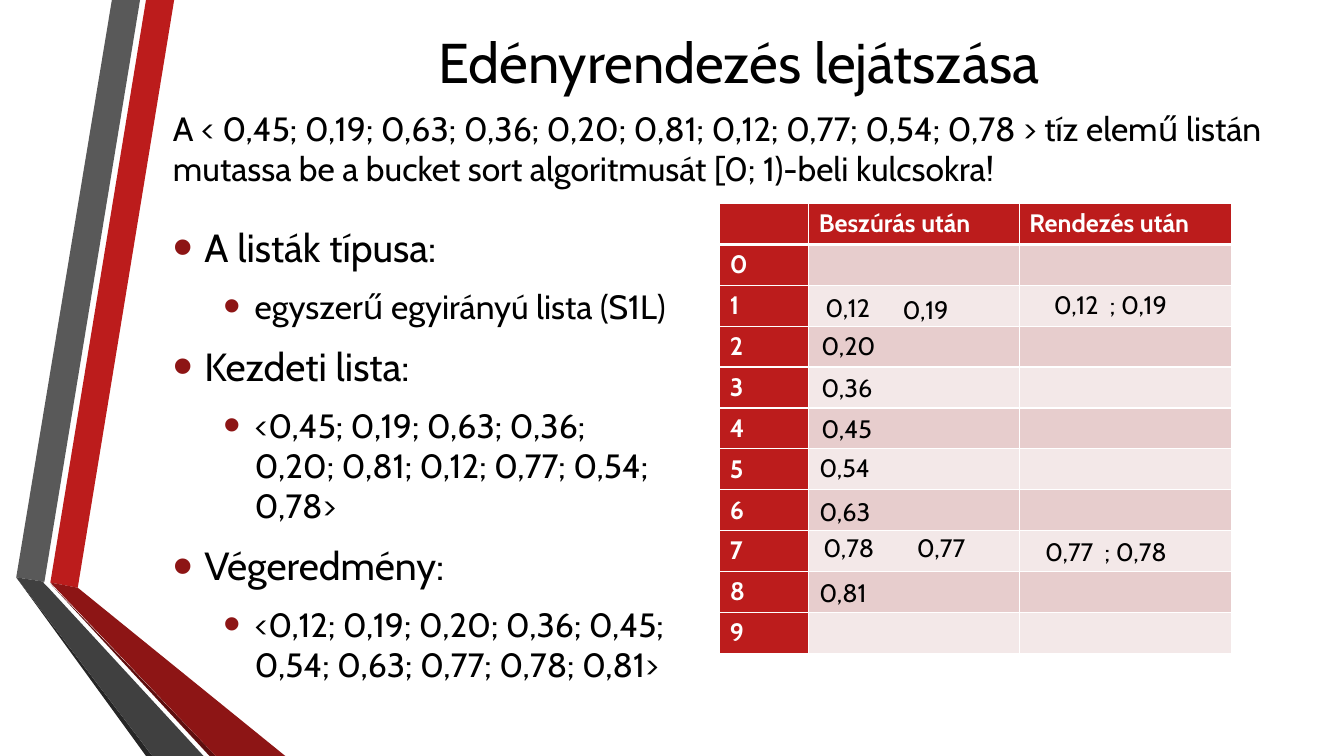
import pptx
import pptx.dml.color
import pptx.enum.text
import pptx.oxml.ns
import pptx.util
from lxml import etree

Cm = pptx.util.Cm
Pt = pptx.util.Pt
RGBColor = pptx.dml.color.RGBColor

FONT = "Cabin"
BLACK = RGBColor(0x00, 0x00, 0x00)
WHITE = RGBColor(0xFF, 0xFF, 0xFF)
RED = RGBColor(0xBC, 0x1C, 0x1C)
DARK_RED = RGBColor(0x8D, 0x15, 0x15)
DEEP_RED = RGBColor(0x5E, 0x0E, 0x0E)
GREY = RGBColor(0x59, 0x59, 0x59)
DARK_GREY = RGBColor(0x40, 0x40, 0x40)
DEEP_GREY = RGBColor(0x26, 0x26, 0x26)
BAND_DARK = RGBColor(0xE7, 0xCD, 0xCD)
BAND_LIGHT = RGBColor(0xF3, 0xE8, 0xE8)

# Corners in centimetres
RIBBONS = [
    (RED, [(1.27, 14.68), (1.96, 14.81), (4.39, 0), (3.68, 0)]),
    (GREY, [(3.53, 0), (2.82, 0), (0.41, 14.55), (1.12, 14.66)]),
    (DEEP_GREY, [(0.41, 14.55), (3.68, 19.05), (3.84, 19.05)]),
    (DEEP_RED, [(1.27, 14.71), (5.28, 19.05), (5.44, 19.05)]),
    (DARK_RED, [(1.27, 14.68), (5.44, 19.05), (7.19, 19.05), (1.96, 14.81)]),
    (DARK_GREY, [(5.13, 19.05), (1.22, 14.81), (1.09, 14.68), (1.12, 14.66),
                 (0.41, 14.55), (3.84, 19.05)]),
]

TASK = ("A < 0,45; 0,19; 0,63; 0,36; 0,20; 0,81; 0,12; 0,77; 0,54; 0,78 > tíz elemű "
        "listán mutassa be a bucket sort algoritmusát [0; 1)-beli kulcsokra!")

OUTLINE = [
    ("A listák típusa:", "egyszerű egyirányú lista (S1L)"),
    ("Kezdeti lista:", "<0,45; 0,19; 0,63; 0,36; 0,20; 0,81; 0,12; 0,77; 0,54; 0,78>"),
    ("Végeredmény:", "<0,12; 0,19; 0,20; 0,36; 0,45; 0,54; 0,63; 0,77; 0,78; 0,81>"),
]

# Text, left, top and width in centimetres
BUCKET_ENTRIES = [
    ("0,45", 20.45, 10.29, 2.54),
    ("0,19", 22.5, 7.29, 2.54),
    ("0,63", 20.4, 12.37, 2.54),
    ("0,36", 20.45, 9.25, 2.54),
    ("0,20", 20.45, 8.2, 2.54),
    ("0,81", 20.4, 14.43, 2.54),
    ("0,12", 20.55, 7.24, 2.54),
    ("0,77", 22.86, 13.28, 2.54),
    ("0,54", 20.4, 11.28, 2.54),
    ("0,78", 20.5, 13.28, 2.54),
    ("0,12  ; 0,19", 26.31, 7.16, 4.17),
    ("0,77  ; 0,78", 26.09, 13.39, 4.14),
]


def add_child(parent, tag, **attributes):
    return etree.SubElement(parent, pptx.oxml.ns.qn(tag), attributes)


def add_ribbon(slide, color, corners):
    points = [(Cm(x), Cm(y)) for x, y in corners]
    builder = slide.shapes.build_freeform(*points[0])
    builder.add_line_segments(points[1:], close=True)
    shape = builder.convert_to_shape()
    shape.shadow.inherit = False
    shape.fill.solid()
    shape.fill.fore_color.rgb = color
    shape.line.fill.background()


def format_paragraph(paragraph, size, color=BLACK, bold=False):
    for run in paragraph.runs:
        run.font.name = FONT
        run.font.size = Pt(size)
        run.font.color.rgb = color
        run.font.bold = bold


def add_text(slide, text, left, top, width, height, size):
    box = slide.shapes.add_textbox(Cm(left), Cm(top), Cm(width), Cm(height))
    text_frame = box.text_frame
    text_frame.word_wrap = True
    text_frame.text = text
    format_paragraph(text_frame.paragraphs[0], size)
    return text_frame


def add_title(slide, text):
    text_frame = add_text(slide, text, 4.7, 0.23, 27.84, 2.64, 40)
    text_frame.vertical_anchor = pptx.enum.text.MSO_ANCHOR.MIDDLE
    text_frame.paragraphs[0].alignment = pptx.enum.text.PP_ALIGN.CENTER


def add_bullet(paragraph, level):
    properties = paragraph._p.get_or_add_pPr()
    properties.set("marL", str(Cm((0.79, 2.06)[level])))
    properties.set("indent", str(Cm(-0.79)))
    bullet_color = add_child(properties, "a:buClr")
    add_child(bullet_color, "a:srgbClr", val=str(DARK_RED))
    add_child(properties, "a:buSzPct", val="145000")
    add_child(properties, "a:buFont", typeface="Arial")
    add_child(properties, "a:buChar", char="•")


def add_outline(slide):
    lines = [(level, text) for pair in OUTLINE for level, text in enumerate(pair)]
    text_frame = add_text(slide, lines[0][1], 4.11, 5.51, 13.06, 10.95, 28)
    for index, (level, text) in enumerate(lines):
        paragraph = text_frame.add_paragraph() if index else text_frame.paragraphs[0]
        size = (28, 24)[level]
        paragraph.text = text
        paragraph.level = level
        add_bullet(paragraph, level)
        paragraph.space_before = Pt(0.2 * size if index else 0)
        paragraph.space_after = Pt(6)
        format_paragraph(paragraph, size)


def set_borders(cell, top, bottom):
    """Draw white cell borders; top and bottom are widths in points."""
    properties = cell._tc.get_or_add_tcPr()
    for tag, width in (("a:lnL", 1), ("a:lnR", 1), ("a:lnT", top), ("a:lnB", bottom)):
        line = add_child(properties, tag, w=str(Pt(width)))
        add_child(add_child(line, "a:solidFill"), "a:srgbClr", val=str(WHITE))


def add_bucket_table(slide):
    rows = [("", "Beszúrás után", "Rendezés után")]
    rows += [(str(bucket), "", "") for bucket in range(10)]
    frame = slide.shapes.add_table(len(rows), 3, Cm(18.14), Cm(5.13), Cm(12.91), Cm(11.33))
    table = frame.table
    for column, width in zip(table.columns, (2.24, 5.31, 5.36)):
        column.width = Cm(width)
    for row_index, texts in enumerate(rows):
        table.rows[row_index].height = Cm(1.03)
        for column_index, text in enumerate(texts):
            cell = table.cell(row_index, column_index)
            set_borders(cell, 3 if row_index == 1 else 1, 3 if row_index == 0 else 1)
            cell.fill.solid()
            if row_index == 0 or column_index == 0:
                cell.fill.fore_color.rgb = RED
            else:
                cell.fill.fore_color.rgb = BAND_DARK if row_index % 2 else BAND_LIGHT
            if text:
                cell.text_frame.text = text
                format_paragraph(cell.text_frame.paragraphs[0], 18, WHITE, True)


def main():
    presentation = pptx.Presentation()
    presentation.slide_width = Cm(33.87)
    presentation.slide_height = Cm(19.05)
    slide = presentation.slides.add_slide(presentation.slide_layouts[6])
    for color, corners in RIBBONS:
        add_ribbon(slide, color, corners)
    add_title(slide, "Edényrendezés lejátszása")
    add_outline(slide)
    add_bucket_table(slide)
    add_text(slide, TASK, 4.11, 2.59, 28.4, 2.41, 24)
    for text, left, top, width in BUCKET_ENTRIES:
        add_text(slide, text, left, top, width, 1.02, 18)
    presentation.save("out.pptx")


if __name__ == "__main__":
    main()
